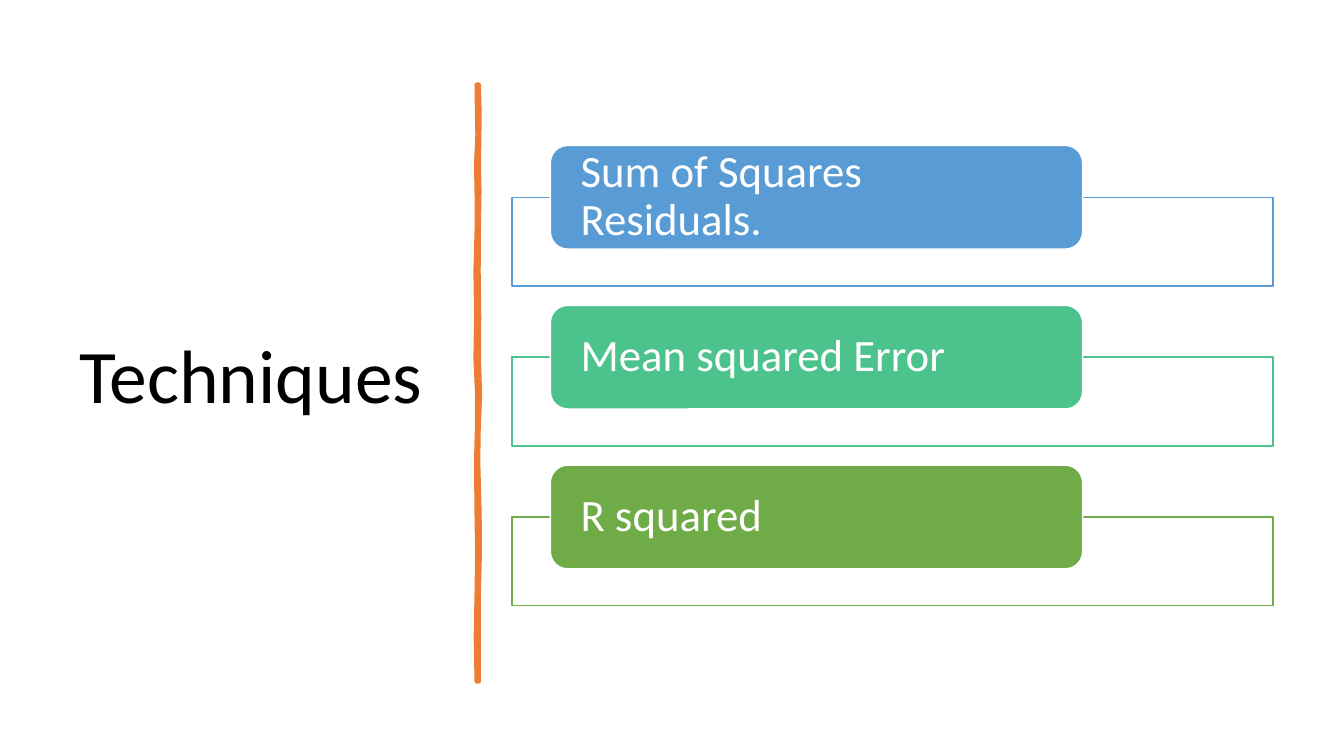
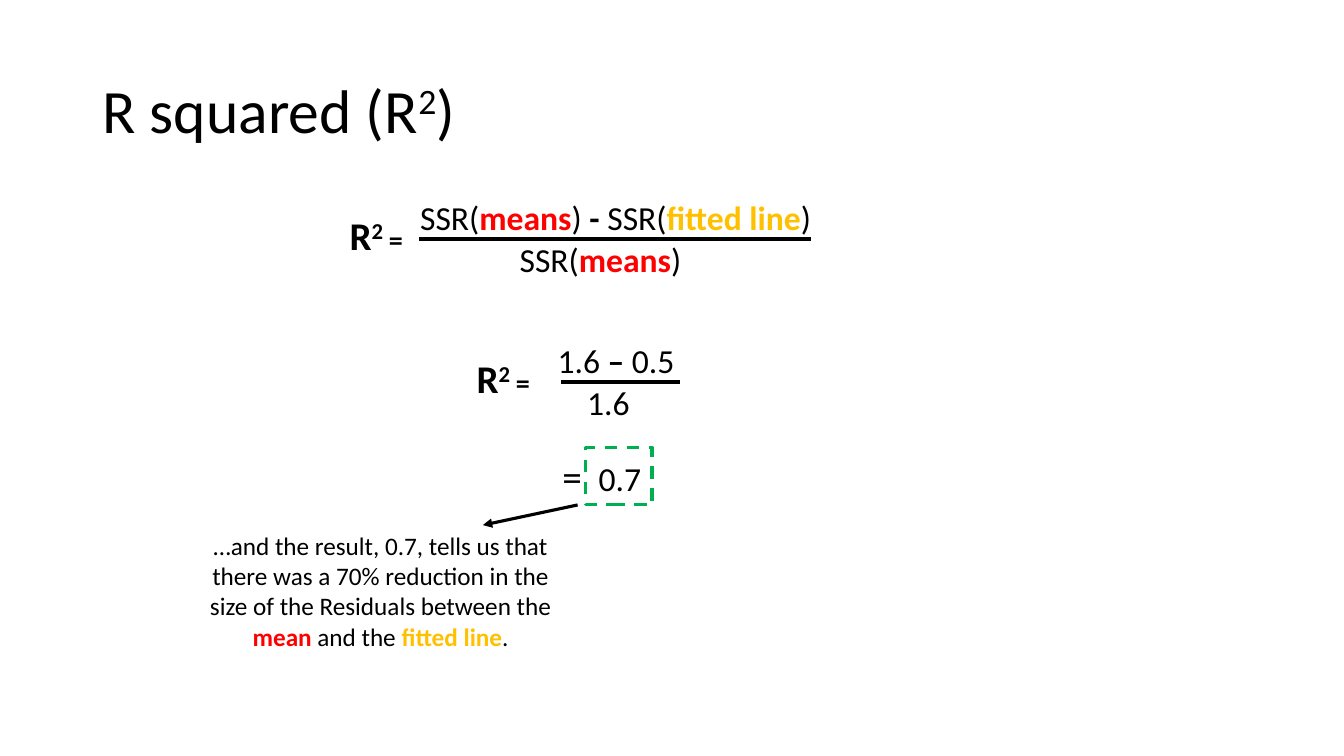
"""Build two slides on regression techniques and the R squared measure."""
from dataclasses import dataclass

from lxml import etree
from pptx import Presentation
from pptx.dml.color import RGBColor
from pptx.enum.dml import MSO_LINE
from pptx.enum.shapes import MSO_CONNECTOR, MSO_SHAPE
from pptx.enum.text import MSO_ANCHOR, PP_ALIGN
from pptx.oxml.ns import qn
from pptx.util import Pt

RECT, ROUND = MSO_SHAPE.RECTANGLE, MSO_SHAPE.ROUNDED_RECTANGLE
STRAIGHT, DASH = MSO_CONNECTOR.STRAIGHT, MSO_LINE.DASH
TOP, MIDDLE = MSO_ANCHOR.TOP, MSO_ANCHOR.MIDDLE
LEFT, CENTER = PP_ALIGN.LEFT, PP_ALIGN.CENTER


@dataclass(frozen=True)
class Theme:
    """Shared font, colours and type sizes."""
    font: str = "Calibri"
    black: str = "000000"
    white: str = "FFFFFF"
    orange: str = "ED7D31"
    red: str = "FF0000"
    gold: str = "FFC000"
    green: str = "00B050"
    cover: int = 54
    title: int = 44
    card: int = 32
    symbol: int = 28
    formula: int = 24
    equals: int = 20
    body: int = 18


T = Theme()
MEAN = {"color": T.red, "bold": True}
FIT = {"color": T.gold, "bold": True}
BOLD = {"bold": True}
SUPER = {"raised": True}

TECHNIQUES = [
    ("Sum of Squares Residuals.", "599BD5"),
    ("Mean squared Error", "4CC38C"),
    ("R squared", "6FAB46"),
]
BRUSH_EDGES = [
    (60.5, 340.6, 342), (82, 340.9, 342.5), (96, 341.2, 342.3),
    (118, 340.2, 342), (136, 340.6, 342.4), (162, 340.7, 342),
    (194, 339.8, 341.8), (226, 340.3, 342.2), (256, 339.8, 342),
    (282, 341, 342.8), (308, 340.8, 341.8), (330, 340.2, 341.5),
    (367, 340.6, 342.5), (395, 341, 342.7), (420, 340.7, 342),
    (455, 340, 342), (486.7, 340.6, 342),
]

R_TITLE = [("R squared (R", {}), ("2", SUPER), (")", {})]
R_EQUALS = [("R", BOLD), ("2", {**BOLD, **SUPER}), (" ", {"size": T.body}),
            ("=", {"size": T.equals, **BOLD})]
EQUATIONS = [
    {"label_x": 242.6, "bar": (299.5, 579.6),
     "top": (439.7, [("SSR(", {}), ("means", MEAN), (")", {}), (" - ", BOLD),
                     ("SSR(", {}), ("fitted line", FIT), (")", {})]),
     "bottom": (428.9, [("SSR(", {}), ("means", MEAN), (")", {})])},
    {"label_x": 333.4, "bar": (401, 486),
     "top": (440, [("1.6", {}), (" – ", BOLD), ("0.5", {})]),
     "bottom": (434.6, [("1.6", {})])},
]
CONCLUSION = [
    ("…and the result, 0.7, tells us that there was a 70% reduction in the "
     "size of the Residuals between the ", {}),
    ("mean", MEAN), (" and the ", {}), ("fitted line", FIT), (".", {}),
]


def rgb(color):
    """Turn a hex string into a colour."""
    return RGBColor.from_string(color)


def write(shape, runs, size, color=T.black, align=LEFT, anchor=MIDDLE,
          spacing=1.0, insets=(7.2, 3.6, 7.2, 3.6)):
    """Write one paragraph of formatted runs into a shape."""
    tf = shape.text_frame
    tf.word_wrap = True
    tf.vertical_anchor = anchor
    tf.margin_left, tf.margin_top, tf.margin_right, tf.margin_bottom = map(Pt, insets)
    p = tf.paragraphs[0]
    p.alignment, p.line_spacing = align, spacing
    for text, style in [(runs, {})] if isinstance(runs, str) else runs:
        r = p.add_run()
        r.text = text
        r.font.name = T.font
        r.font.size = Pt(style.get("size", size))
        r.font.bold = style.get("bold", False)
        r.font.color.rgb = rgb(style.get("color", color))
        if style.get("raised"):
            r._r.get_or_add_rPr().set("baseline", "30000")


def text_box(s, runs, box, **fmt):
    """Add a text box at (left, top, width, height)."""
    write(s.shapes.add_textbox(*map(Pt, box)), runs, **fmt)


def paint(sp, line, width, fill=None):
    """Set the fill and outline of a shape."""
    sp.shadow.inherit = False
    if fill:
        sp.fill.solid()
        sp.fill.fore_color.rgb = rgb(fill)
    else:
        sp.fill.background()
    sp.line.color.rgb = rgb(line)
    sp.line.width = Pt(width)


def add_shape(s, kind, box, line, width, fill=None):
    """Add a preset shape."""
    sp = s.shapes.add_shape(kind, *map(Pt, box))
    paint(sp, line, width, fill)
    return sp


def add_line(s, start, end, width, arrow=False):
    """Add a straight black line, with an arrowhead if asked."""
    c = s.shapes.add_connector(STRAIGHT, *map(Pt, start + end))
    c.line.color.rgb = rgb(T.black)
    c.line.width = Pt(width)
    if arrow:
        etree.SubElement(c.line._get_or_add_ln(), qn("a:tailEnd"), type="triangle")
    etree.SubElement(c._element.spPr, qn("a:effectLst"))


def add_title(s, runs, box, size):
    """Add a slide title."""
    text_box(s, runs, box, size=size, spacing=0.9)


def techniques_slide(s):
    """Draw the title, the brush stroke and the technique cards."""
    add_title(s, "Techniques", (49.7, 50.4, 269.3, 439.9), T.cover)
    right = [(x, y) for y, _, x in BRUSH_EDGES]
    left = [(x, y) for y, x, _ in reversed(BRUSH_EDGES)]
    outline = [(Pt(x), Pt(y)) for x, y in right + left]
    fb = s.shapes.build_freeform(*outline[0])
    fb.add_line_segments(outline[1:], close=True)
    paint(fb.convert_to_shape(), T.orange, 3.25, T.orange)
    for i, (name, color) in enumerate(TECHNIQUES):
        y = 103.9 + 114.2 * i
        add_shape(s, RECT, (365.8, y + 37, 543.6, 63.4), color, 1, T.white)
        card = add_shape(s, ROUND, (393.1, y, 380.2, 74), T.white, 1, color)
        write(card, name, T.card, color=T.white, spacing=0.9, insets=(18, 0, 18, 0))


def r_squared_slide(s):
    """Draw the R squared formula, its worked value and the conclusion."""
    add_title(s, R_TITLE, (66.2, 28.8, 491, 104.4), T.title)
    for i, eq in enumerate(EQUATIONS):
        y = 170.6 + 102 * i
        for part, middle in (("top", y - 15.4), ("bottom", y + 14.8)):
            x, runs = eq[part]
            text_box(s, runs, (x - 160, middle - 15, 320, 30), size=T.formula,
                     align=CENTER, insets=(0, 0, 0, 0))
        x1, x2 = eq["bar"]
        add_line(s, (x1, y), (x2, y), 3)
        text_box(s, R_EQUALS, (eq["label_x"], y - 23, 67.7, 41), size=T.symbol)
    text_box(s, "=", (393.6, 319.7, 30, 41), size=T.symbol, align=CENTER,
             insets=(0, 0, 0, 0))
    result = add_shape(s, RECT, (418.3, 319.7, 47.5, 41), T.green, 2.25)
    result.line.dash_style = DASH
    write(result, "0.7", T.formula, align=CENTER, insets=(1.4, 2.8, 0, 0))
    text_box(s, CONCLUSION, (142.6, 375.1, 258.5, 94.3), size=T.body,
             align=CENTER, anchor=TOP)
    add_line(s, (412.6, 360.7), (344.9, 375.1), 2.25, arrow=True)


def main():
    """Build and save the presentation."""
    prs = Presentation()
    prs.slide_width, prs.slide_height = Pt(960), Pt(540)
    for draw in (techniques_slide, r_squared_slide):
        draw(prs.slides.add_slide(prs.slide_layouts[6]))
    prs.save("out.pptx")


if __name__ == "__main__":
    main()
